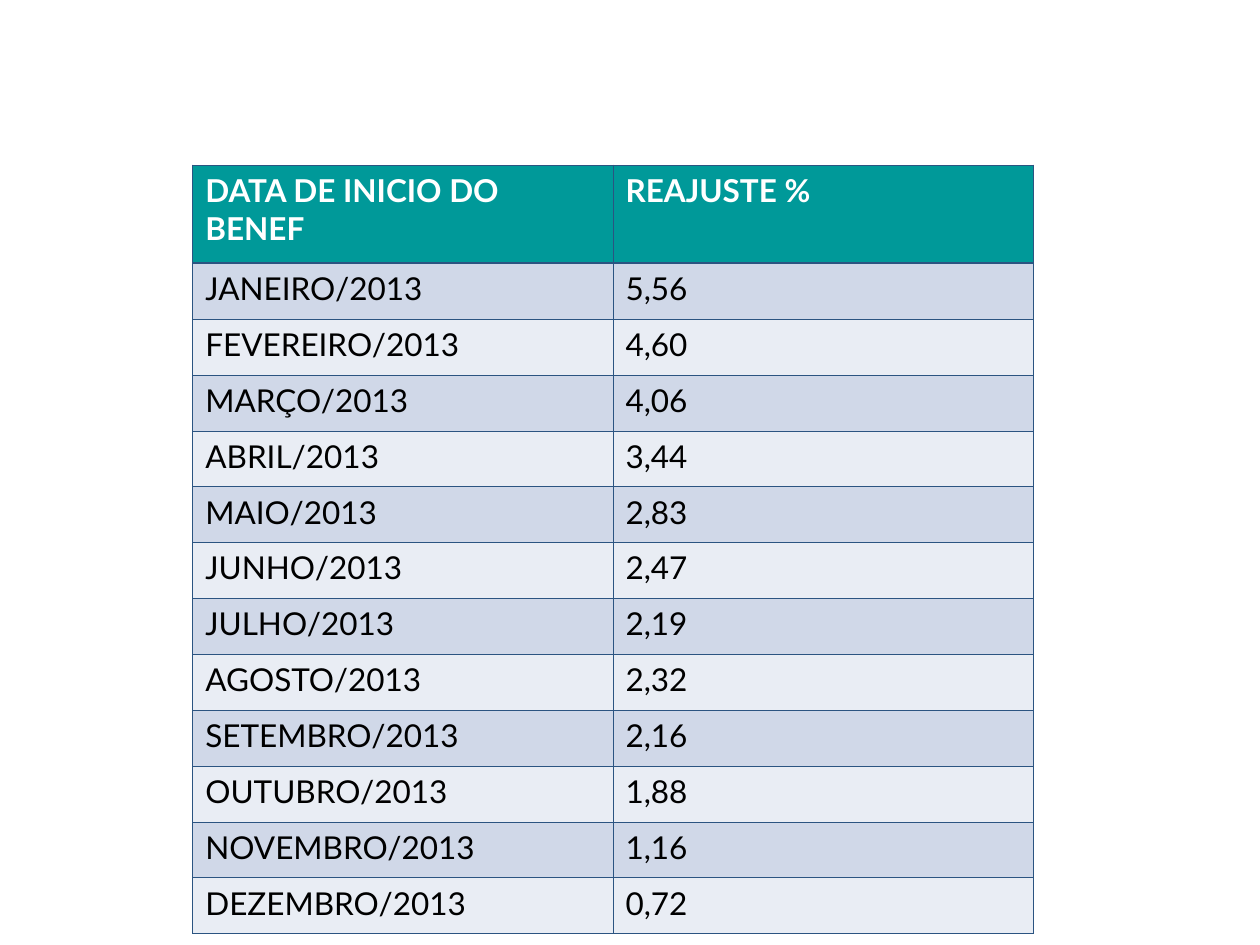
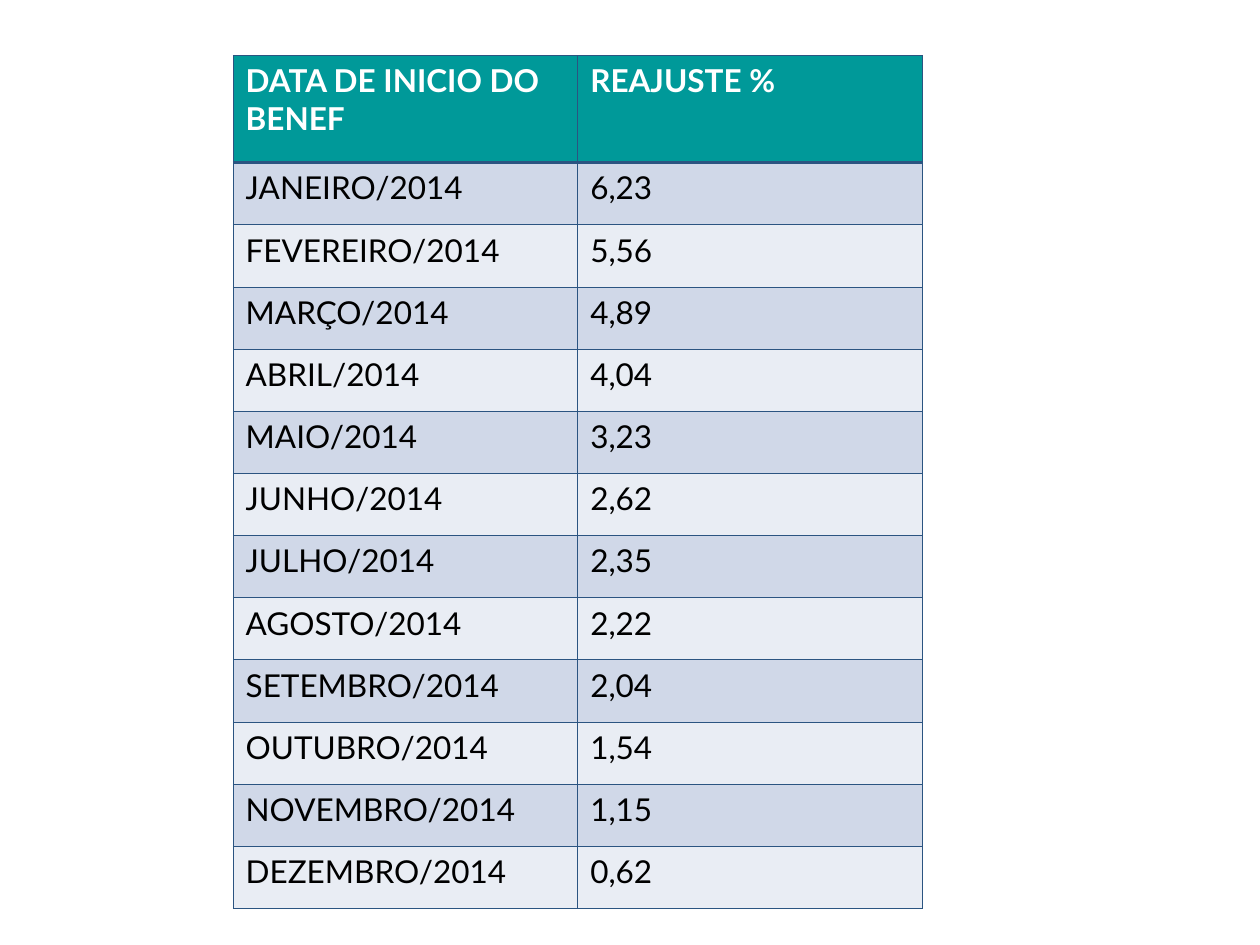
import pptx
import pptx.dml.color
import pptx.oxml
import pptx.oxml.ns
import pptx.util
from pptx.dml.color import RGBColor
from pptx.util import Inches

TEAL = RGBColor(0x00, 0x99, 0x99)
NAVY = RGBColor(0x2B, 0x54, 0x81)
DARK = RGBColor(0xD0, 0xD8, 0xE8)
PALE = RGBColor(0xE9, 0xED, 0xF4)
WHITE = RGBColor(0xFF, 0xFF, 0xFF)
BLACK = RGBColor(0x00, 0x00, 0x00)
FONT = "Lato"
SIZE = pptx.util.Pt(18)
THIN, THICK = 0.45, 1.47

HEADS = ["DATA DE INICIO DO BENEF", "REAJUSTE %"]
MONTHS = ["JANEIRO", "FEVEREIRO", "MARÇO", "ABRIL", "MAIO", "JUNHO", "JULHO",
          "AGOSTO", "SETEMBRO", "OUTUBRO", "NOVEMBRO", "DEZEMBRO"]

# Year, left, top, table width, header height, body height, rates
YEARS = [
    (2013, 1.53, 1.31, 6.67, 0.78, 5.32,
     "5,56 4,60 4,06 3,44 2,83 2,47 2,19 2,32 2,16 1,88 1,16 0,72"),
    (2014, 1.85, 0.44, 5.47, 0.85, 5.92,
     "6,23 5,56 4,89 4,04 3,23 2,62 2,35 2,22 2,04 1,54 1,15 0,62"),
]


def add_edge(cell, side, width):
    props = cell._tc.get_or_add_tcPr()
    props.append(pptx.oxml.parse_xml(
        f'<a:{side} {pptx.oxml.ns.nsdecls("a")} w="{pptx.util.Pt(width)}">'
        f'<a:solidFill><a:srgbClr val="{NAVY}"/></a:solidFill></a:{side}>'))


deck = pptx.Presentation()
deck.slide_width, deck.slide_height = Inches(10), Inches(7.5)

for year, left, top, width, head, body, rates in YEARS:
    slide = deck.slides.add_slide(deck.slide_layouts[6])
    lines = [HEADS]
    lines += [(f"{month}/{year}", rate) for month, rate in zip(MONTHS, rates.split())]

    # Table grid
    table = slide.shapes.add_table(
        len(lines), len(HEADS), Inches(left), Inches(top),
        Inches(width), Inches(head + body)).table
    for column in table.columns:
        column.width = Inches(width / len(HEADS))
    for row in table.rows:
        row.height = Inches(body / len(MONTHS))
    table.rows[0].height = Inches(head)

    # Cells: teal header, then alternating bands
    for r, line in enumerate(lines):
        for c, text in enumerate(line):
            cell = table.cell(r, c)
            add_edge(cell, "lnL", THIN)
            add_edge(cell, "lnR", THIN)
            add_edge(cell, "lnT", THICK if r == 1 else THIN)
            add_edge(cell, "lnB", THICK if r == 0 else THIN)
            cell.fill.solid()
            cell.fill.fore_color.rgb = TEAL if r == 0 else DARK if r % 2 else PALE
            cell.text_frame.text = text
            font = cell.text_frame.paragraphs[0].runs[0].font
            font.name, font.size, font.bold = FONT, SIZE, r == 0
            font.color.rgb = WHITE if r == 0 else BLACK

deck.save("out.pptx")
